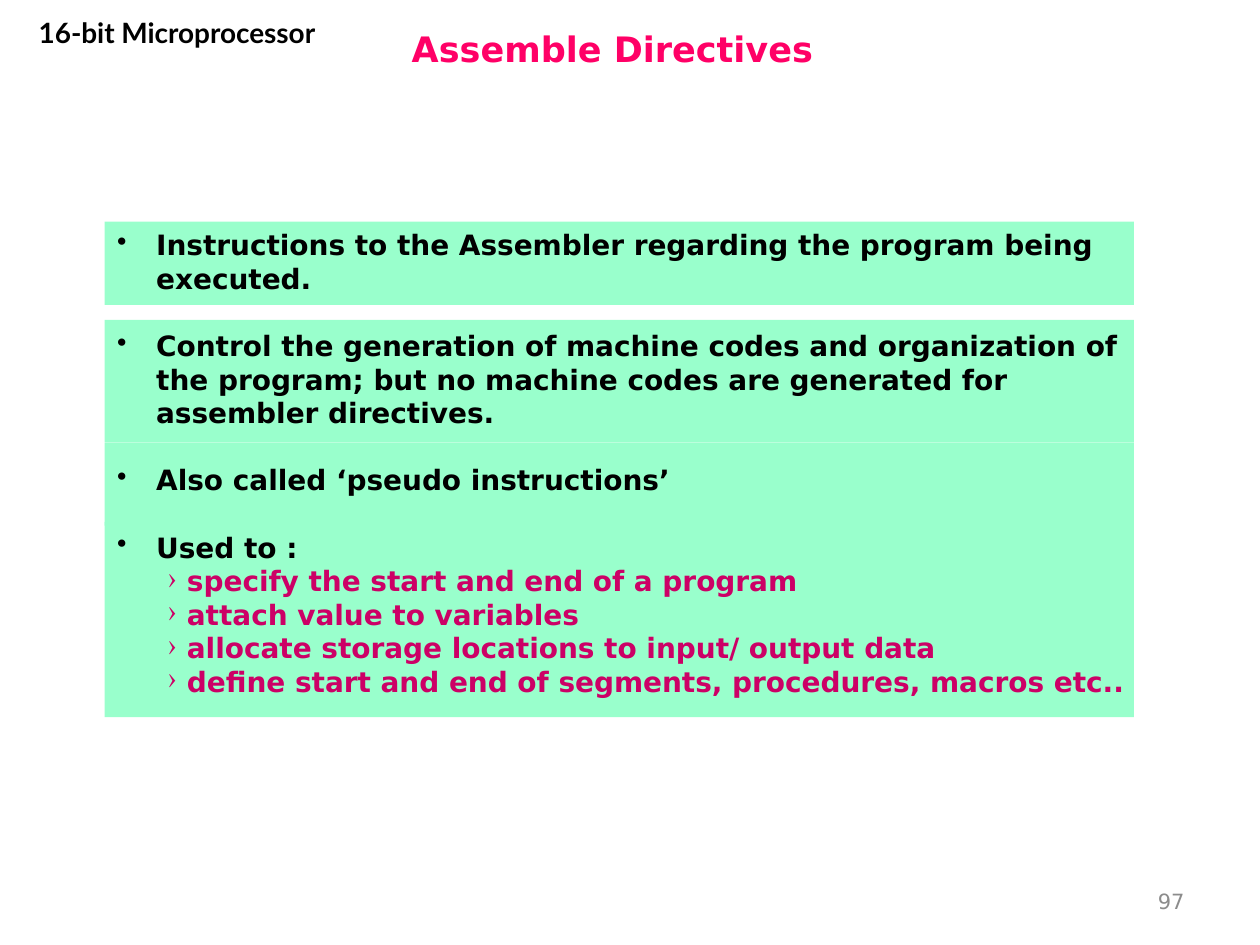
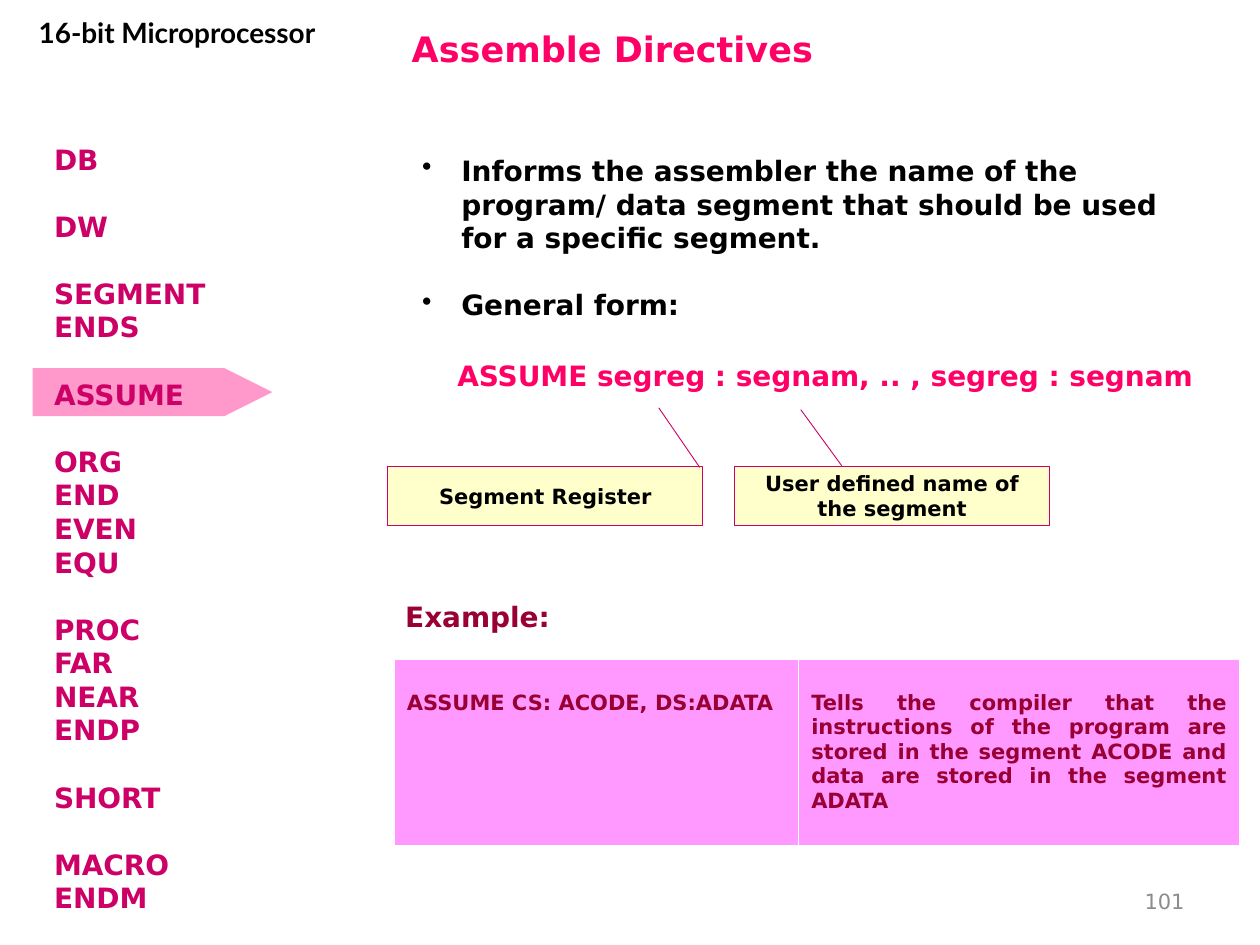
from dataclasses import dataclass
from typing import Optional

from lxml.etree import SubElement
from pptx import Presentation
from pptx.dml.color import RGBColor
from pptx.enum.shapes import MSO_SHAPE
from pptx.enum.text import MSO_ANCHOR, PP_ALIGN
from pptx.oxml.ns import qn
from pptx.util import Cm, Pt

COLORS = {
    "heading": "FF0066", "accent": "CC0066", "example": "990033",
    "text": "000000", "page": "8C8C8C", "mint": "99FFCC", "marker": "FF99CC",
    "callout": "FFFFCC", "cell": "FF99FF", "border": "FFFFFF",
}
BODY_FONT, HEADER_FONT = "DejaVu Sans", "Lato"
BLANK_LAYOUT = 6
GROUP_GAP = 19.2  # one line of 16 pt text


@dataclass(frozen=True)
class Box:
    """Position and size in centimetres."""
    left: float
    top: float
    width: float
    height: float

    def lengths(self) -> tuple:
        return Cm(self.left), Cm(self.top), Cm(self.width), Cm(self.height)


@dataclass(frozen=True)
class Bullet:
    char: str
    margin: float
    hanging: float


@dataclass(frozen=True)
class Line:
    text: str
    color: str = "text"
    size: int = 16
    bold: bool = True
    font: str = BODY_FONT
    align: PP_ALIGN = PP_ALIGN.LEFT
    gap: float = 0
    bullet: Optional[Bullet] = None


@dataclass(frozen=True)
class Callout:
    text: str
    box: Box
    leader: tuple


POINT = Bullet("•", 0.79, 0.79)
SUBPOINT = Bullet("›", 1.41, 0.39)

# Shared slide parts
HEADER_BOX = Box(0.18, 0.18, 6.78, 1.63)
TITLE_BOX = Box(8.05, 0.3, 16.71, 1.35)
PAGE_BOX = Box(18.21, 17.65, 5.92, 1.02)

# Overview slide
BANDS = [(10.52, 3.94), (8.92, 1.68), (6.45, 2.46), (4.47, 1.68)]
POINTS = [
    "Instructions to the Assembler regarding the program being executed.",
    "Control the generation of machine codes and organization of the program; "
    "but no machine codes are generated for assembler directives.",
    "Also called ‘pseudo instructions’",
    "Used to :",
]
USES = [
    "specify the start and end of a program",
    "attach value to variables",
    "allocate storage locations to input/ output data",
    "define start and end of segments, procedures, macros etc..",
]

# ASSUME slide
DIRECTIVE_GROUPS = [
    ["DB"], ["DW"], ["SEGMENT", "ENDS"], ["ASSUME"],
    ["ORG", "END", "EVEN", "EQU"], ["PROC", "FAR", "NEAR", "ENDP"],
    ["SHORT"], ["MACRO", "ENDM"],
]
ASSUME_POINTS = [
    "Informs the assembler the name of the program/ data segment "
    "that should be used for a specific segment.",
    "General form:",
]
CALLOUTS = [
    Callout("Segment Register", Box(7.82, 9.4, 6.35, 1.19),
            (0.02, 0.99, -0.99, 0.86)),
    Callout("User defined name of the segment", Box(14.81, 9.4, 6.35, 1.19),
            (-0.01, 0.34, -0.96, 0.21)),
]
EXAMPLE_ROW = [
    Line("ASSUME CS: ACODE, DS:ADATA", "example", 12),
    Line("Tells the compiler that the instructions of the program are stored "
         "in the segment ACODE and data are stored in the segment ADATA",
         "example", 12, align=PP_ALIGN.JUSTIFY),
]
EXAMPLE_COLUMNS = [8.15, 8.89]


def rgb(name: str) -> RGBColor:
    return RGBColor.from_string(COLORS[name])


def write_lines(frame, lines: list[Line]) -> None:
    for index, line in enumerate(lines):
        paragraph = frame.add_paragraph() if index else frame.paragraphs[0]
        if line.bullet:
            properties = paragraph._p.get_or_add_pPr()
            properties.set("marL", str(Cm(line.bullet.margin)))
            properties.set("indent", str(-Cm(line.bullet.hanging)))
            SubElement(properties, qn("a:buChar"), char=line.bullet.char)
        paragraph.alignment = line.align
        if line.gap:
            paragraph.space_before = Pt(line.gap)
        run = paragraph.add_run()
        run.text = line.text
        run.font.name = line.font
        run.font.size = Pt(line.size)
        run.font.bold = line.bold
        run.font.color.rgb = rgb(line.color)


def add_text(slide, box: Box, lines: list[Line], wrap: bool = True,
             anchor: MSO_ANCHOR = MSO_ANCHOR.TOP) -> None:
    frame = slide.shapes.add_textbox(*box.lengths()).text_frame
    frame.word_wrap = wrap
    frame.vertical_anchor = anchor
    write_lines(frame, lines)


def add_filled(slide, kind: MSO_SHAPE, box: Box, fill: str):
    shape = slide.shapes.add_shape(kind, *box.lengths())
    shape.shadow.inherit = False
    shape.fill.solid()
    shape.fill.fore_color.rgb = rgb(fill)
    shape.line.fill.background()
    return shape


def add_callout(slide, callout: Callout) -> None:
    shape = add_filled(slide, MSO_SHAPE.LINE_CALLOUT_1, callout.box, "callout")
    shape.line.color.rgb = rgb("accent")
    shape.line.width = Pt(0.5)
    for index, value in enumerate(callout.leader):
        shape.adjustments[index] = value
    frame = shape.text_frame
    frame.word_wrap = True
    frame.vertical_anchor = MSO_ANCHOR.MIDDLE
    write_lines(frame, [Line(callout.text, size=12, align=PP_ALIGN.CENTER)])


def add_cell_borders(cell) -> None:
    properties = cell._tc.get_or_add_tcPr()
    widths = {"a:lnL": 1, "a:lnR": 1, "a:lnT": 1, "a:lnB": 3}
    for index, (tag, width) in enumerate(widths.items()):
        border = SubElement(properties, qn(tag), w=str(Pt(width)))
        fill = SubElement(border, qn("a:solidFill"))
        SubElement(fill, qn("a:srgbClr"), val=COLORS["border"])
        properties.insert(index, border)


def add_example_table(slide) -> None:
    box = Box(7.95, 13.28, sum(EXAMPLE_COLUMNS), 3.81)
    table = slide.shapes.add_table(1, len(EXAMPLE_ROW), *box.lengths()).table
    table.first_row = table.horz_banding = False
    for index, (line, width) in enumerate(zip(EXAMPLE_ROW, EXAMPLE_COLUMNS)):
        table.columns[index].width = Cm(width)
        cell = table.cell(0, index)
        cell.margin_top = Cm(0.64)
        cell.fill.solid()
        cell.fill.fore_color.rgb = rgb("cell")
        add_cell_borders(cell)
        write_lines(cell.text_frame, [line])


def bulleted(points: list[str]) -> list[Line]:
    return [Line(text, gap=GROUP_GAP if index else 0, bullet=POINT)
            for index, text in enumerate(points)]


def start_slide(deck, page: int):
    slide = deck.slides.add_slide(deck.slide_layouts[BLANK_LAYOUT])
    add_text(slide, TITLE_BOX, [Line("Assemble Directives", "heading", 20)],
             anchor=MSO_ANCHOR.MIDDLE)
    add_text(slide, PAGE_BOX,
             [Line(str(page), "page", 12, bold=False, align=PP_ALIGN.RIGHT)],
             anchor=MSO_ANCHOR.MIDDLE)
    add_text(slide, HEADER_BOX, [Line("16-bit Microprocessor", font=HEADER_FONT,
                                      align=PP_ALIGN.CENTER)])
    return slide


def build_overview(deck) -> None:
    slide = start_slide(deck, 97)
    for top, height in BANDS:
        add_filled(slide, MSO_SHAPE.RECTANGLE, Box(2.11, top, 20.75, height), "mint")
    uses = [Line(text, "accent", bullet=SUBPOINT) for text in USES]
    add_text(slide, Box(2.11, 4.47, 21.79, 11.2), bulleted(POINTS) + uses)


def build_assume(deck) -> None:
    slide = start_slide(deck, 101)

    # Directive list with the current entry marked
    marker = add_filled(slide, MSO_SHAPE.FLOWCHART_OFFPAGE_CONNECTOR,
                        Box(2.59, 5.49, 0.97, 4.83), "marker")
    marker.rotation = 270
    directives = [
        Line(name, "accent", gap=GROUP_GAP if group_index and not index else 0)
        for group_index, group in enumerate(DIRECTIVE_GROUPS)
        for index, name in enumerate(group)
    ]
    add_text(slide, Box(0.84, 2.74, 4.14, 15.98), directives)

    # Description and general form
    add_text(slide, Box(8.26, 2.97, 15.67, 3.68), bulleted(ASSUME_POINTS))
    add_text(slide, Box(8.97, 7.11, 15.39, 0.94),
             [Line("ASSUME segreg : segnam, .. , segreg : segnam", "heading")],
             wrap=False)
    for callout in CALLOUTS:
        add_callout(slide, callout)

    # Example
    add_example_table(slide)
    add_text(slide, Box(7.92, 11.96, 3.66, 0.94), [Line("Example:", "example")],
             wrap=False)


def main() -> None:
    deck = Presentation()
    deck.slide_width, deck.slide_height = Cm(25.4), Cm(19.05)
    build_overview(deck)
    build_assume(deck)
    deck.save("out.pptx")


if __name__ == "__main__":
    main()
